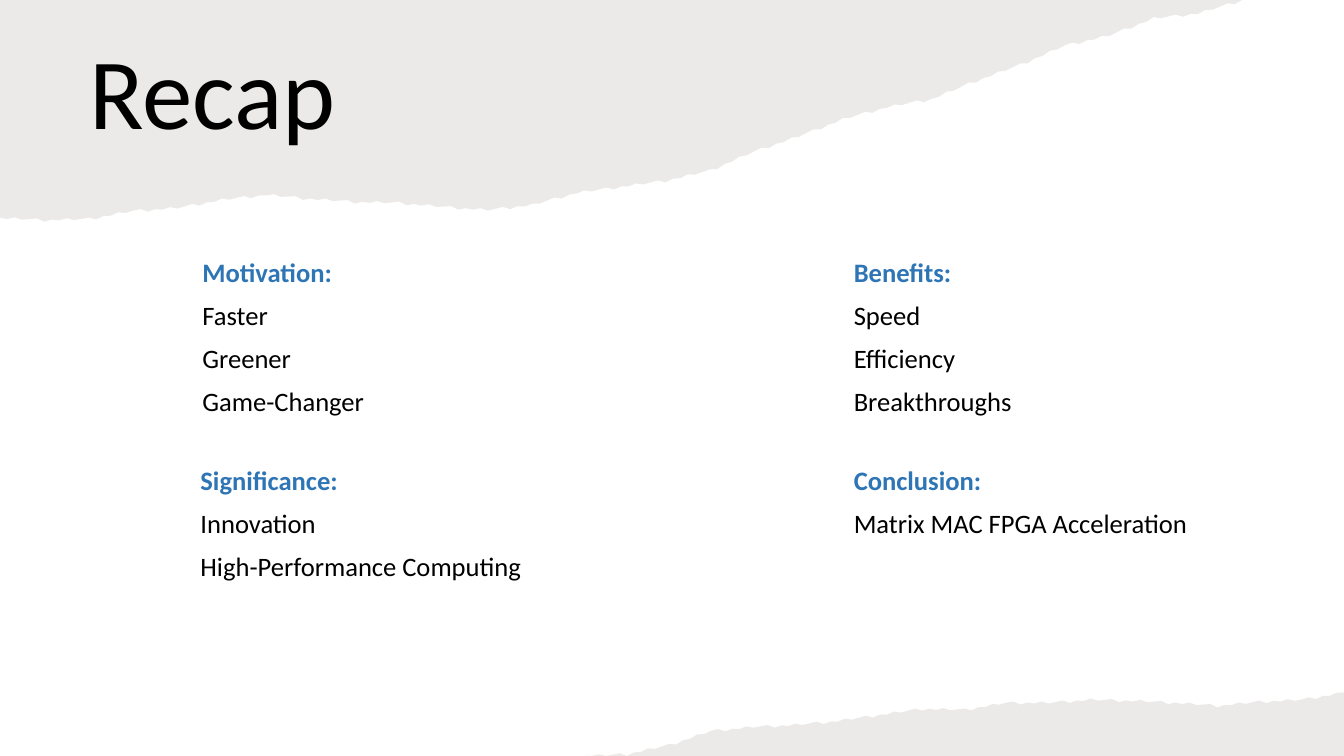
from itertools import cycle, pairwise

from lxml import etree
from pptx import Presentation
from pptx.dml.color import RGBColor
from pptx.enum import text
from pptx.oxml import ns
from pptx.util import Inches, Pt

BLACK = RGBColor(0x00, 0x00, 0x00)
BLUE = RGBColor(0x2E, 0x75, 0xB6)
TAUPE = RGBColor(0x82, 0x76, 0x6A)
FONT = "Calibri"
WIDTH, HEIGHT = 13.33, 7.5

TITLE = "Recap"
TITLE_BOX = (0.79, 0.56, 8.37, 0.81)

ROW_TOPS = (2.53, 4.59)
SECTION_HEIGHT = 1.73
SECTION_ROWS = [
    [
        (1.91, 3.02, "Motivation:", ["Faster", "Greener", "Game-Changer"]),
        (8.37, 3.53, "Benefits:", ["Speed", "Efficiency", "Breakthroughs"]),
    ],
    [
        (1.89, 3.5, "Significance:", ["Innovation", "High-Performance Computing"]),
        (8.37, 4.06, "Conclusion:", ["Matrix MAC FPGA Acceleration"]),
    ],
]

TOP_START, TOP_END = 0, 12.32
TOP_EDGE = [
    2.16, 2.18, 2.17, 2.09, 2.06, 1.98, 1.93, 1.97, 2.0, 2.01,
    2.05, 2.08, 2.03, 1.91, 1.85, 1.79, 1.69, 1.5, 1.35, 1.18,
    1.06, 0.98, 0.8, 0.64, 0.45, 0.35, 0.18, 0.13, 0,
]
BOTTOM_START, BOTTOM_END = 5.8, WIDTH
BOTTOM_EDGE = [
    7.5, 7.48, 7.39, 7.25, 7.21, 7.19, 7.15, 7.09, 7.03, 7.04,
    6.97, 6.97, 6.94, 6.95, 6.97, 7.0, 6.96, 6.94, 6.87,
]
TEETH = (0, 0.01, -0.01, 0.01, 0, -0.01, 0.02)
PIECES = 6


def torn_edge(start, end, heights):
    """Return points along evenly spaced heights, roughened by small teeth."""
    step = (end - start) / (len(heights) - 1)
    teeth = cycle(TEETH)
    points = []
    for i, (y1, y2) in enumerate(pairwise(heights)):
        for k in range(PIECES):
            share = k / PIECES
            y = y1 + (y2 - y1) * share + next(teeth)
            points.append((start + (i + share) * step, min(max(y, 0), HEIGHT)))
    return points + [(end, heights[-1])]


def add_paper(s, edge, corner):
    """Fill the area between a torn edge and a slide corner, behind the title."""
    points = [(Inches(x), Inches(y)) for x, y in [corner, *edge]]
    builder = s.shapes.build_freeform(*points[0])
    builder.add_line_segments(points[1:], close=True)
    sp = builder.convert_to_shape()
    sp.shadow.inherit = False
    sp.line.fill.background()
    sp.fill.solid()
    sp.fill.fore_color.rgb = TAUPE
    color = sp._element.spPr.find(".//" + ns.qn("a:srgbClr"))
    etree.SubElement(color, ns.qn("a:alpha"), val="15000")
    s.shapes.title._element.addprevious(sp._element)


def format_paragraph(p, size, color, bold=False):
    """Apply the font and line spacing to a paragraph."""
    p.alignment = text.PP_ALIGN.LEFT
    p.line_spacing = 0.9
    for r in p.runs:
        r.font.name = FONT
        r.font.size = Pt(size)
        r.font.bold = bold
        r.font.color.rgb = color


def add_title(s):
    """Place the slide title."""
    sp = s.shapes.title
    sp.left, sp.top, sp.width, sp.height = map(Inches, TITLE_BOX)
    tf = sp.text_frame
    tf.text = TITLE
    tf.word_wrap = True
    tf.auto_size = text.MSO_AUTO_SIZE.NONE
    tf.vertical_anchor = text.MSO_ANCHOR.MIDDLE
    format_paragraph(tf.paragraphs[0], 72, BLACK)


def add_section(s, top, left, width, heading, items):
    """Write a blue heading with its lines below."""
    box = map(Inches, (left, top, width, SECTION_HEIGHT))
    tf = s.shapes.add_textbox(*box).text_frame
    tf.word_wrap = True
    tf.text = "\n".join([heading, *items])
    for i, p in enumerate(tf.paragraphs):
        p.space_before = Pt(10)
        format_paragraph(p, 19, BLACK if i else BLUE, bold=i == 0)


def main():
    """Build the recap slide."""
    prs = Presentation()
    prs.slide_width, prs.slide_height = Inches(WIDTH), Inches(HEIGHT)
    s = prs.slides.add_slide(prs.slide_layouts[5])
    add_paper(s, torn_edge(TOP_START, TOP_END, TOP_EDGE), (0, 0))
    add_paper(s, torn_edge(BOTTOM_START, BOTTOM_END, BOTTOM_EDGE), (WIDTH, HEIGHT))
    add_title(s)
    for top, row in zip(ROW_TOPS, SECTION_ROWS):
        for section in row:
            add_section(s, top, *section)
    prs.save("out.pptx")


if __name__ == "__main__":
    main()
